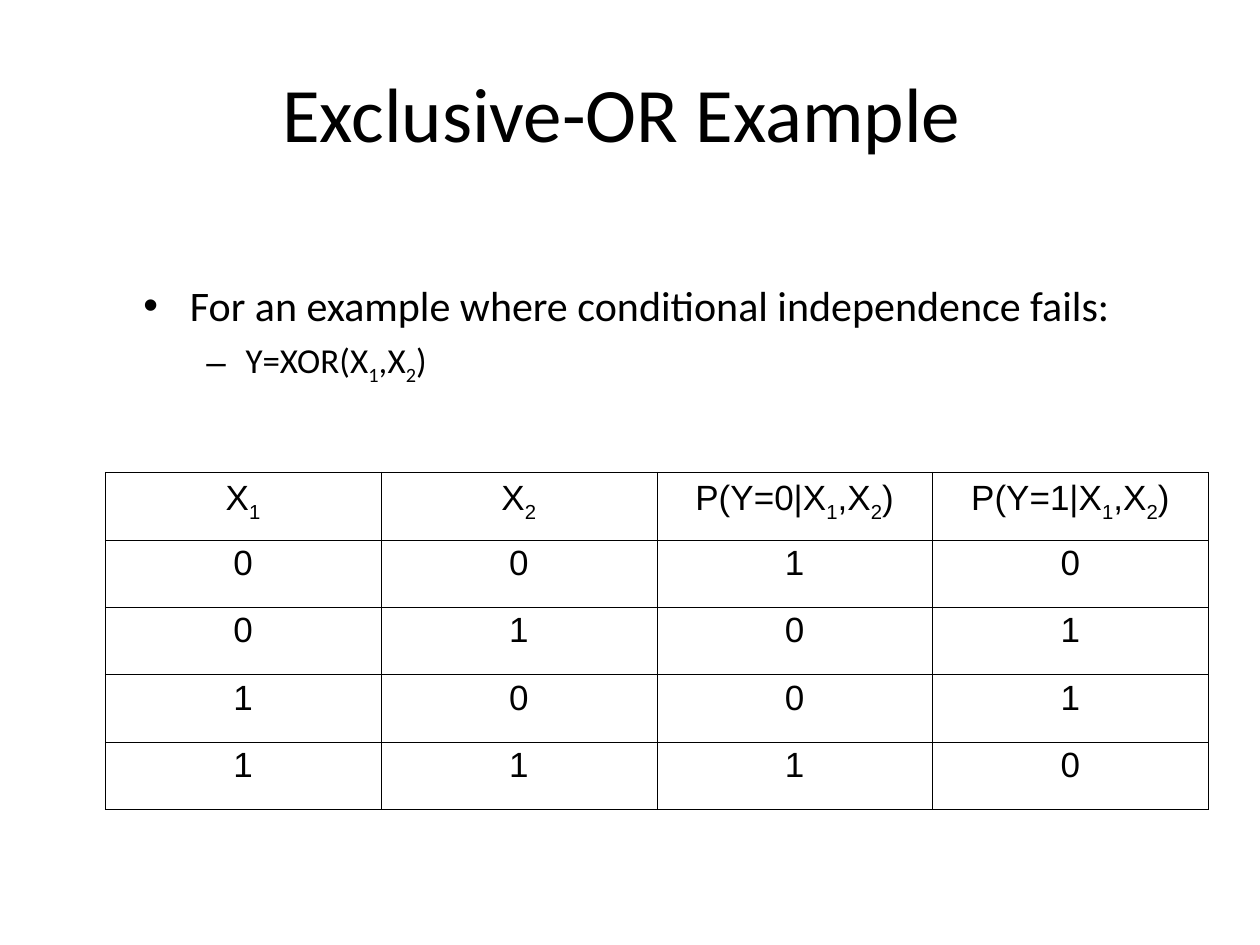
from dataclasses import dataclass

from lxml import etree
from pptx import Presentation
from pptx import util as u
from pptx.dml.color import RGBColor
from pptx.enum import text
from pptx.oxml.ns import qn

COLORS = {"ink": "000000"}
HEADERS = ["X_1", "X_2", "P(Y=0|X_1,X_2)", "P(Y=1|X_1,X_2)"]
TRUTH = [(a, b, 1 - (a ^ b), a ^ b) for a in (0, 1) for b in (0, 1)]
COL_W, ROW_H = u.Cm(5.56), u.Cm(1.36)
OUTER_PT, INNER_PT = 0.5, 0.23


@dataclass
class Bullet:
    content: str
    char: str
    size: int
    level: int
    margin: float
    hang: float
    before: int


BULLETS = [
    Bullet("For an example where conditional independence fails:", "•", 24, 0, 0.94, 0.94, 6),
    Bullet("Y=XOR(X_1,X_2)", "–", 20, 1, 2.06, 0.79, 5),
]


def add_run(p, content: str, size: int, font: str, subscript: bool = False) -> None:
    r = p.add_run()
    r.text = content
    r.font.size = u.Pt(size)
    r.font.name = font
    r.font.color.rgb = RGBColor.from_string(COLORS["ink"])
    if subscript:
        r.font._element.set("baseline", "-25000")


def add_formula(p, content: str, size: int, font: str) -> None:
    first, *rest = content.split("_")
    add_run(p, first, size, font)
    for part in rest:
        add_run(p, part[0], size, font, subscript=True)
        if part[1:]:
            add_run(p, part[1:], size, font)


def add_text_frame(s, left: float, top: float, width: float, height: float):
    sp = s.shapes.add_textbox(u.Cm(left), u.Cm(top), u.Cm(width), u.Cm(height))
    sp.text_frame.word_wrap = True
    return sp.text_frame


def add_bullet(p, bullet: Bullet) -> None:
    p.level = bullet.level
    p.space_before = u.Pt(bullet.before)
    pPr = p._p.get_or_add_pPr()
    pPr.set("marL", str(u.Cm(bullet.margin)))
    pPr.set("indent", str(-u.Cm(bullet.hang)))
    color = etree.SubElement(pPr, qn("a:buClr"))
    etree.SubElement(color, qn("a:srgbClr"), val=COLORS["ink"])
    etree.SubElement(pPr, qn("a:buFont"), typeface="Arial")
    etree.SubElement(pPr, qn("a:buChar"), char=bullet.char)
    add_formula(p, bullet.content, bullet.size, "Calibri")


def set_borders(cell, outer: dict[str, bool]) -> None:
    tcPr = cell._tc.get_or_add_tcPr()
    for side, is_outer in outer.items():
        width = u.Pt(OUTER_PT if is_outer else INNER_PT)
        ln = etree.SubElement(tcPr, qn(f"a:ln{side}"), w=str(width))
        fill = etree.SubElement(ln, qn("a:solidFill"))
        etree.SubElement(fill, qn("a:srgbClr"), val=COLORS["ink"])


def add_truth_table(s, rows: list) -> None:
    n_rows, n_cols = len(rows), len(rows[0])
    frame = s.shapes.add_table(n_rows, n_cols, u.Cm(2.12), u.Cm(9.52),
                               COL_W * n_cols, ROW_H * n_rows)
    table = frame.table
    table.first_row = table.horz_banding = False
    for i, row in enumerate(rows):
        for j, value in enumerate(row):
            cell = table.cell(i, j)
            set_borders(cell, {"L": j == 0, "R": j == n_cols - 1,
                               "T": i == 0, "B": i == n_rows - 1})
            cell.fill.background()
            p = cell.text_frame.paragraphs[0]
            p.alignment = text.PP_ALIGN.CENTER
            p.line_spacing = 0.93
            p.space_before = u.Pt(5)
            add_formula(p, str(value), 20, "Arial")


def main() -> None:
    prs = Presentation()
    prs.slide_width, prs.slide_height = u.Cm(25.4), u.Cm(19.05)
    s = prs.slides.add_slide(prs.slide_layouts[6])

    title = add_text_frame(s, 2.59, 0.28, 19.89, 3.94)
    title.vertical_anchor = text.MSO_ANCHOR.MIDDLE
    p = title.paragraphs[0]
    p.alignment = text.PP_ALIGN.CENTER
    add_run(p, "Exclusive-OR Example", 44, "Calibri")

    body = add_text_frame(s, 2.64, 5.51, 21.08, 11.43)
    for i, bullet in enumerate(BULLETS):
        add_bullet(body.add_paragraph() if i else body.paragraphs[0], bullet)

    add_truth_table(s, [HEADERS, *TRUTH])
    prs.save("out.pptx")


if __name__ == "__main__":
    main()
